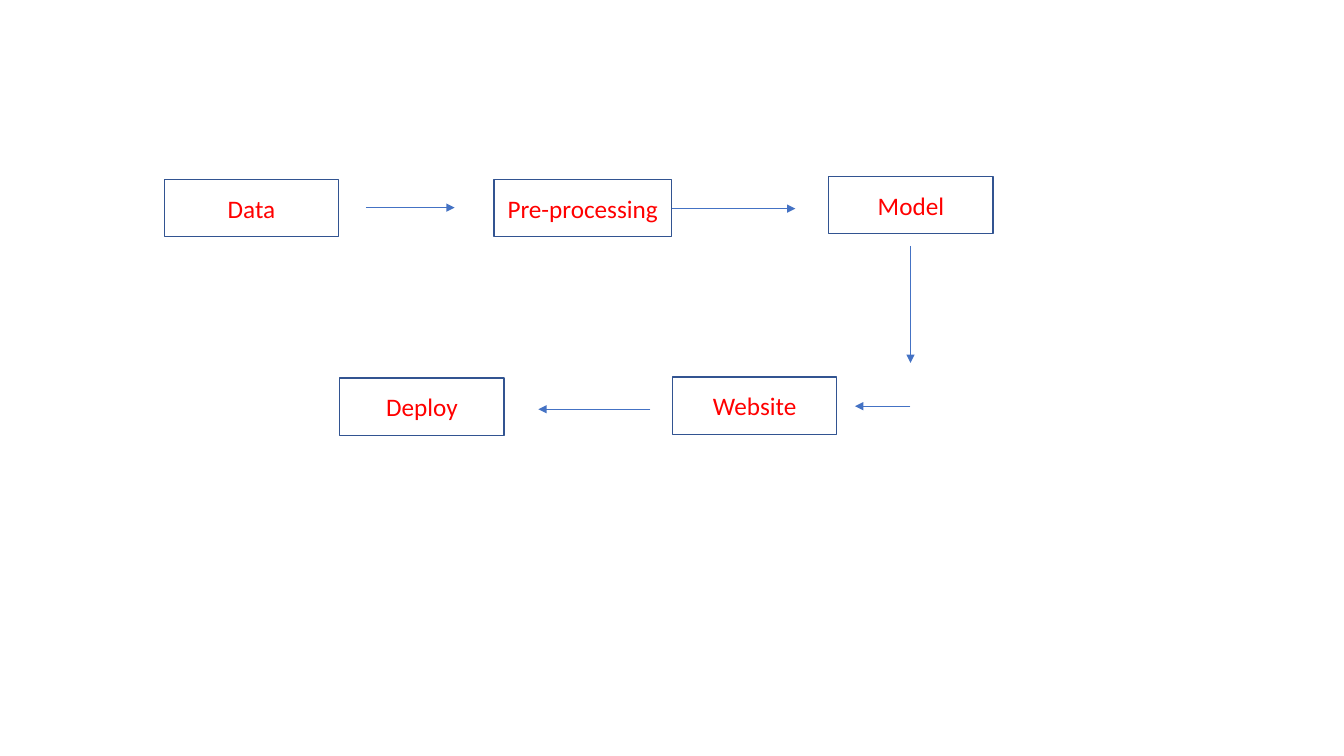
from lxml import etree
from pptx import Presentation
from pptx.dml.color import RGBColor
from pptx.enum.shapes import MSO_CONNECTOR, MSO_SHAPE
from pptx.enum.text import MSO_ANCHOR, PP_ALIGN
from pptx.oxml.ns import qn
from pptx.util import Pt

RECTANGLE = MSO_SHAPE.RECTANGLE
STRAIGHT = MSO_CONNECTOR.STRAIGHT
MIDDLE = MSO_ANCHOR.MIDDLE
CENTER = PP_ALIGN.CENTER

EMU_PER_PX = 9144
STEP_HEIGHT = 57
STEP_FONT = {"name": "Calibri", "size": Pt(18)}

DATA_ROW = {
    "steps": [("Data", 0, 3, 173), ("Pre-processing", 327, 3, 176), ("Model", 659, 0, 163)],
    "arrows": [(200, 31, 288, 31), (504, 32, 626, 32)],
}
RELEASE_ROW = {
    "steps": [("Website", 330, 0, 163), ("Deploy", 0, 1, 163)],
    "arrows": [(566, 29, 511, 29), (308, 32, 197, 32)],
}


def px(length):
    return length * EMU_PER_PX


def color(hex_code):
    return RGBColor.from_string(hex_code)


def set_line(line, hex_code, points):
    line.color.rgb = color(hex_code)
    line.width = Pt(points)


def add_step(slide, name, left, top, width):
    step = slide.shapes.add_shape(RECTANGLE, px(left), px(top), px(width), px(STEP_HEIGHT))
    step.shadow.inherit = False
    step.fill.solid()
    step.fill.fore_color.rgb = color("FFFFFF")
    set_line(step.line, "325491", 1)
    step.text_frame.vertical_anchor = MIDDLE
    label = step.text_frame.paragraphs[0]
    label.alignment = CENTER
    run = label.add_run()
    run.text = name
    for attribute, value in STEP_FONT.items():
        setattr(run.font, attribute, value)
    run.font.color.rgb = color("FF0000")


def add_arrow(slide, start_x, start_y, end_x, end_y):
    arrow = slide.shapes.add_connector(
        STRAIGHT, px(start_x), px(start_y), px(end_x), px(end_y)
    )
    set_line(arrow.line, "4472C4", 0.5)
    etree.SubElement(arrow.line._get_or_add_ln(), qn("a:tailEnd"), type="triangle")
    etree.SubElement(arrow._element.spPr, qn("a:effectLst"))


def add_row(slide, left, top, row):
    for name, x, y, width in row["steps"]:
        add_step(slide, name, left + x, top + y, width)
    for start_x, start_y, end_x, end_y in row["arrows"]:
        add_arrow(slide, left + start_x, top + start_y, left + end_x, top + end_y)


def add_turn(slide, left, top, height):
    add_arrow(slide, left, top, left, top + height)


def main():
    deck = Presentation()
    deck.slide_width = px(1333)
    deck.slide_height = px(750)
    slide = deck.slides.add_slide(deck.slide_layouts[6])
    add_row(slide, 163, 175, DATA_ROW)
    add_turn(slide, 903, 244, 116)
    add_row(slide, 337, 374, RELEASE_ROW)
    deck.save("out.pptx")


if __name__ == "__main__":
    main()
